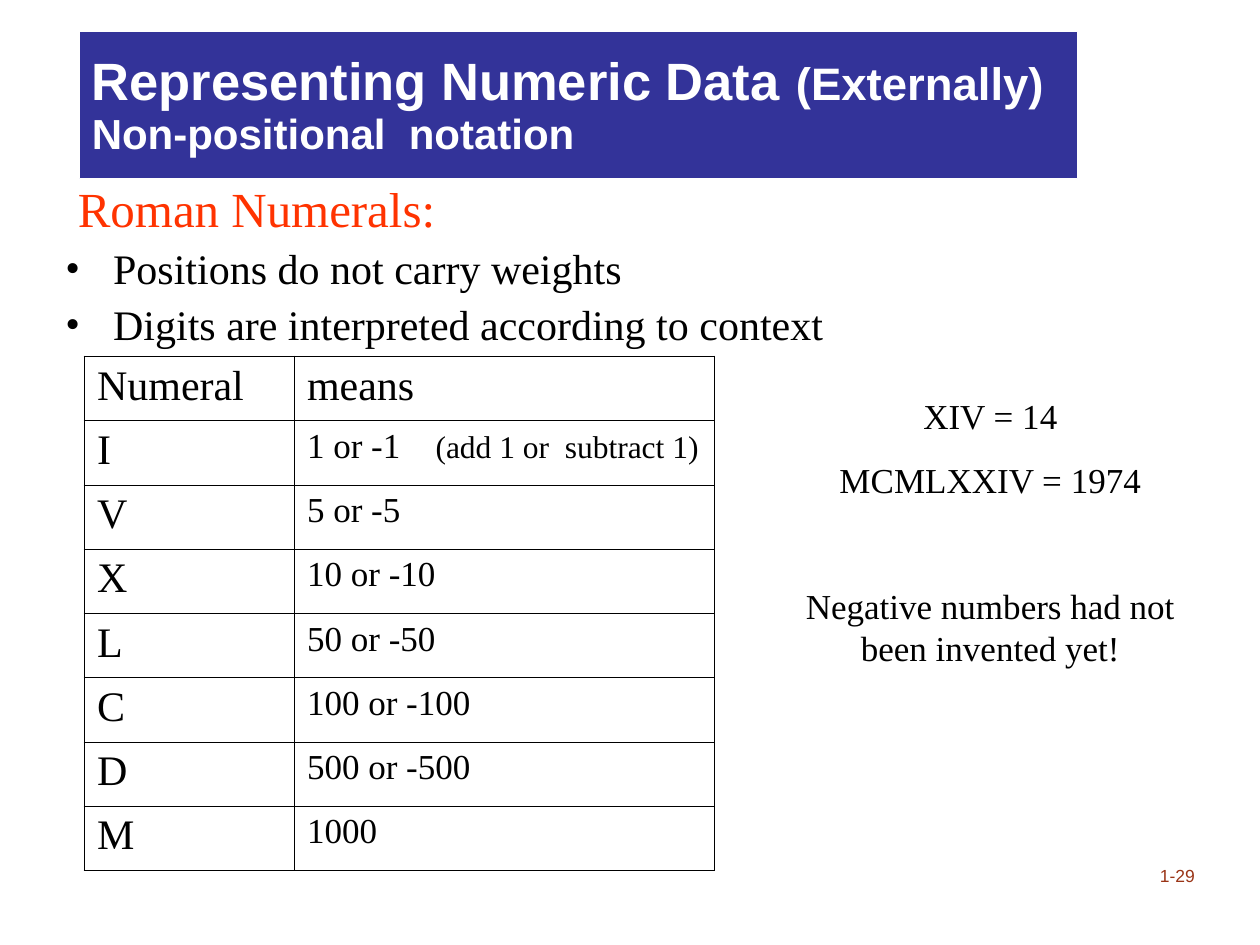
from lxml import etree
from pptx import Presentation
from pptx.dml.color import RGBColor
from pptx.enum.shapes import MSO_SHAPE
from pptx.enum.text import MSO_ANCHOR, PP_ALIGN
from pptx.oxml.ns import qn
from pptx.util import Inches, Pt

SERIF, SANS = "Times New Roman", "Arial"
BLACK, WHITE, NAVY, RED, RUST = "000000", "FFFFFF", "333399", "FF3300", "9A3416"
THIN, THICK = 0.45, 1.08
NUMERALS = [
    ("I", "1 or -1"), ("V", "5 or -5"), ("X", "10 or -10"), ("L", "50 or -50"),
    ("C", "100 or -100"), ("D", "500 or -500"), ("M", "1000"),
]


def rgb(color):
    return RGBColor.from_string(color)


def add_run(p, text, size=24, font=SERIF, color=BLACK, bold=False):
    r = p.add_run()
    r.text = text
    r.font.size = Pt(size)
    r.font.name = font
    r.font.bold = bold
    r.font.color.rgb = rgb(color)


def add_text(tf, text, first=False, align=PP_ALIGN.LEFT, before=0, spacing=1.0, **fmt):
    p = tf.paragraphs[0] if first else tf.add_paragraph()
    p.alignment = align
    p.space_before = Pt(before)
    p.line_spacing = spacing
    add_run(p, text, **fmt)
    return p


def add_box(s, box, anchor=MSO_ANCHOR.TOP):
    tf = s.shapes.add_textbox(*map(Inches, box)).text_frame
    tf.word_wrap = True
    tf.vertical_anchor = anchor
    return tf


def set_indent(p, left, first=0, bullet=None):
    pPr = p._p.get_or_add_pPr()
    pPr.set("marL", str(Inches(left)))
    pPr.set("indent", str(Inches(first)))
    if bullet:
        etree.SubElement(pPr, qn("a:buFont"), typeface=SERIF)
        etree.SubElement(pPr, qn("a:buChar"), char=bullet)


def add_tab(p, position):
    tabs = etree.SubElement(p._p.get_or_add_pPr(), qn("a:tabLst"))
    etree.SubElement(tabs, qn("a:tab"), pos=str(Inches(position)), algn="l")


def set_borders(cell, **widths):
    tcPr = cell._tc.get_or_add_tcPr()
    for i, side in enumerate("LRTB"):
        ln = etree.Element(qn(f"a:ln{side}"), w=str(Pt(widths[side])))
        fill = etree.SubElement(ln, qn("a:solidFill"))
        etree.SubElement(fill, qn("a:srgbClr"), val=BLACK)
        tcPr.insert(i, ln)


def title_banner(s, box):
    sp = s.shapes.add_shape(MSO_SHAPE.RECTANGLE, *map(Inches, box))
    sp.shadow.inherit = False
    sp.fill.solid()
    sp.fill.fore_color.rgb = rgb(NAVY)
    sp.line.color.rgb = rgb(WHITE)
    sp.line.width = Pt(0.75)
    tf = sp.text_frame
    tf.word_wrap = True
    tf.vertical_anchor = MSO_ANCHOR.MIDDLE
    white = dict(font=SANS, color=WHITE, bold=True)
    p = add_text(tf, "Representing Numeric Data", first=True, before=6, spacing=0.9,
                 size=30, **white)
    add_run(p, " ", size=32, font=SANS)
    add_run(p, "(Externally)", size=26, **white)
    p.add_line_break()
    add_run(p, "Non-positional  notation", size=24, **white)


def intro_bullets(s, box):
    tf = add_box(s, box)
    p = add_text(tf, "Roman Numerals:", first=True, before=7, spacing=0.9, size=28, color=RED)
    set_indent(p, 0.1)
    for text in ("Positions do not carry weights",
                 "Digits are interpreted according to context"):
        p = add_text(tf, text, before=6, spacing=0.9)
        set_indent(p, 0.38, -0.38, "•")


def numeral_table(s, box):
    rows = [("Numeral", "means")] + NUMERALS
    table = s.shapes.add_table(len(rows), 2, *map(Inches, box)).table
    table.first_row = table.horz_banding = False
    table.columns[0].width = Inches(box[2] / 3)
    table.columns[1].width = Inches(box[2] * 2 / 3)
    last = len(rows) - 1
    for i, row in enumerate(rows):
        for j, text in enumerate(row):
            cell = table.cell(i, j)
            cell.fill.background()
            small = i > 0 and j == 1
            p = add_text(cell.text_frame, text, first=True, before=5 if small else 6,
                         size=20 if small else 24)
            if text == "1 or -1":
                add_tab(p, 1.02)
                add_run(p, "\t(add 1 or  subtract 1)", size=18)
            # Thick outer frame, thin inner rules
            set_borders(cell, L=THIN if j else THICK, R=THICK if j else THIN,
                        T=THIN if i else THICK, B=THICK if i == last else THIN)


def examples(s, box):
    tf = add_box(s, box)
    lines = [("XIV = 14", 12.5), ("MCMLXXIV = 1974", 12.5),
             ("Negative numbers had not been invented yet!", 48)]
    for i, (text, before) in enumerate(lines):
        add_text(tf, text, first=i == 0, align=PP_ALIGN.CENTER, before=before, size=20)


def page_number(s, box):
    tf = add_box(s, box, MSO_ANCHOR.BOTTOM)
    add_text(tf, "1-29", first=True, align=PP_ALIGN.RIGHT, size=10, font=SANS, color=RUST)


def main():
    prs = Presentation()
    prs.slide_width, prs.slide_height = Inches(10), Inches(7.5)
    s = prs.slides.add_slide(prs.slide_layouts[6])
    page_number(s, (8.83, 6.58, 0.75, 0.5))
    intro_bullets(s, (0.42, 1.42, 8.33, 1.42))
    title_banner(s, (0.63, 0.25, 7.92, 1.17))
    numeral_table(s, (0.67, 2.83, 5, 4.08))
    examples(s, (6.08, 3.08, 3.56, 2.29))
    prs.save("out.pptx")


if __name__ == "__main__":
    main()
